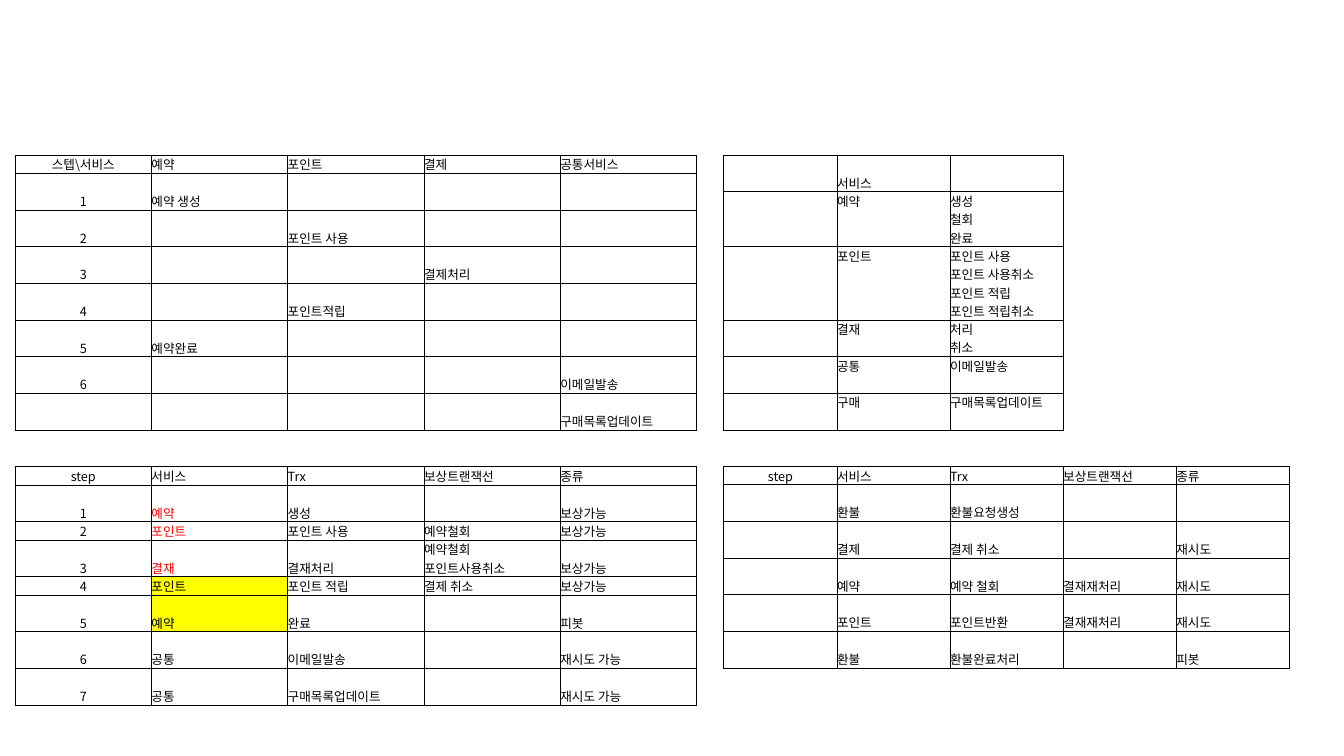
import dataclasses
import pptx
import pptx.dml.color
import pptx.enum.text
import pptx.oxml
import pptx.oxml.ns
import pptx.util
import lxml.etree

Inches = pptx.util.Inches
qn = pptx.oxml.ns.qn
RGB = pptx.dml.color.RGBColor.from_string


@dataclasses.dataclass(frozen=True)
class Theme:
    font: str = "Noto Sans CJK KR"
    size: float = 9
    ink: str = "000000"
    alert: str = "FF0000"
    highlight: str = "FFFF00"
    rule: float = 0.75


@dataclasses.dataclass(frozen=True)
class Box:
    left: float
    top: float
    width: float
    height: float


THEME = Theme()
ALL_SIDES = "LRTB"

# Saga steps: services by step, a gap row, then compensations by step
SAGA_ROWS = [
    ("스텝\\서비스", "예약", "포인트", "결제", "공통서비스"),
    ("1", "예약 생성", "", "", ""),
    ("2", "", "포인트 사용", "", ""),
    ("3", "", "", "결제처리", ""),
    ("4", "", "포인트적립", "", ""),
    ("5", "예약완료", "", "", ""),
    ("6", "", "", "", "이메일발송"),
    ("", "", "", "", "구매목록업데이트"),
    ("", "", "", "", ""),
    ("step", "서비스", "Trx", "보상트랜잭선", "종류"),
    ("1", "예약", "생성", "", "보상가능"),
    ("2", "포인트", "포인트 사용", "예약철회", "보상가능"),
    ("3", "결재", "결재처리", "예약철회\n포인트사용취소", "보상가능"),
    ("4", "포인트", "포인트 적립", "결제 취소", "보상가능"),
    ("5", "예약", "완료", "", "피봇"),
    ("6", "공통", "이메일발송", "", "재시도 가능"),
    ("7", "공통", "구매목록업데이트", "", "재시도 가능"),
]
SAGA_LINES = [1] + [2] * 8 + [1, 2, 1, 2, 1, 2, 2, 2]
SAGA_GAP = 8
SAGA_ALERTS = {(row, 1) for row in (10, 11, 12)}
SAGA_HIGHLIGHTS = {(row, 1) for row in (13, 14)}

# Service operations, a gap row, then the refund steps
REFUND_ROWS = [
    ("", "서비스", "", "", ""),
    ("", "예약", "생성\n철회\n완료", "", ""),
    ("", "포인트", "포인트 사용\n포인트 사용취소\n포인트 적립\n포인트 적립취소", "", ""),
    ("", "결재", "처리\n취소", "", ""),
    ("", "공통", "이메일발송", "", ""),
    ("", "구매", "구매목록업데이트", "", ""),
    ("", "", "", "", ""),
    ("step", "서비스", "Trx", "보상트랜잭선", "종류"),
    ("", "환불", "환불요청생성", "", ""),
    ("", "결제", "결제 취소", "", "재시도"),
    ("", "예약", "예약 철회", "결재재처리", "재시도"),
    ("", "포인트", "포인트반환", "결재재처리", "재시도"),
    ("", "환불", "환불완료처리", "", "피봇"),
]
REFUND_LINES = [2, 3, 4, 2, 2, 2, 2, 1] + [2] * 5
REFUND_GAP = 6
OPERATION_ROWS = range(1, 6)


def saga_sides(row, column):
    return "TB" if row == SAGA_GAP else ALL_SIDES


def refund_sides(row, column):
    if row == REFUND_GAP:
        return "TB" if column < 3 else "B"
    if row < REFUND_GAP and column >= 3:
        return "L" if column == 3 else ""
    return ALL_SIDES


def set_borders(cell, sides):
    properties = cell._tc.get_or_add_tcPr()
    for position, side in enumerate(ALL_SIDES):
        line = lxml.etree.Element(qn(f"a:ln{side}"))
        if side in sides:
            line.set("w", str(pptx.util.Pt(THEME.rule)))
            fill = lxml.etree.SubElement(line, qn("a:solidFill"))
            lxml.etree.SubElement(fill, qn("a:srgbClr"), val=THEME.ink)
        else:
            line.set("w", "0")
            lxml.etree.SubElement(line, qn("a:noFill"))
        properties.insert(position, line)


def write_cell(cell, text, color, centred):
    para = cell.text_frame.paragraphs[0]
    para.text = text
    if centred:
        para.alignment = pptx.enum.text.PP_ALIGN.CENTER
    para.font.size = pptx.util.Pt(THEME.size)
    para.font.color.rgb = RGB(color)
    para.font.name = THEME.font
    # East Asian glyphs take their own typeface entry
    defaults = para._p.pPr.find(qn("a:defRPr"))
    lxml.etree.SubElement(defaults, qn("a:ea"), typeface=THEME.font)


def add_step_table(page, box, rows, lines, sides, alerts=(), highlights=(), top_rows=()):
    table = page.shapes.add_table(
        len(rows), len(rows[0]), Inches(box.left), Inches(box.top),
        Inches(box.width), Inches(box.height)).table
    table.first_row = table.horz_banding = False
    for column in table.columns:
        column.width = Inches(box.width / len(rows[0]))
    for r, texts in enumerate(rows):
        # Heights are shared out by the number of text lines
        table.rows[r].height = Inches(box.height * lines[r] / sum(lines))
        for c, text in enumerate(texts):
            cell = table.cell(r, c)
            cell.margin_left = cell.margin_right = 0
            cell.margin_top = cell.margin_bottom = 0
            anchor = pptx.enum.text.MSO_ANCHOR
            cell.vertical_anchor = anchor.TOP if r in top_rows else anchor.BOTTOM
            if (r, c) in highlights:
                cell.fill.solid()
                cell.fill.fore_color.rgb = RGB(THEME.highlight)
            else:
                cell.fill.background()
            set_borders(cell, sides(r, c))
            color = THEME.alert if (r, c) in alerts else THEME.ink
            write_cell(cell, text, color, centred=c == 0)


def main():
    deck = pptx.Presentation()
    deck.slide_width, deck.slide_height = Inches(13.33), Inches(7.5)
    page = deck.slides.add_slide(deck.slide_layouts[6])
    add_step_table(page, Box(0.15, 1.54, 6.76, 5.46), SAGA_ROWS, SAGA_LINES,
                   saga_sides, SAGA_ALERTS, SAGA_HIGHLIGHTS)
    add_step_table(page, Box(7.18, 1.54, 5.61, 5.09), REFUND_ROWS, REFUND_LINES,
                   refund_sides, top_rows=OPERATION_ROWS)
    deck.save("out.pptx")


if __name__ == "__main__":
    main()
